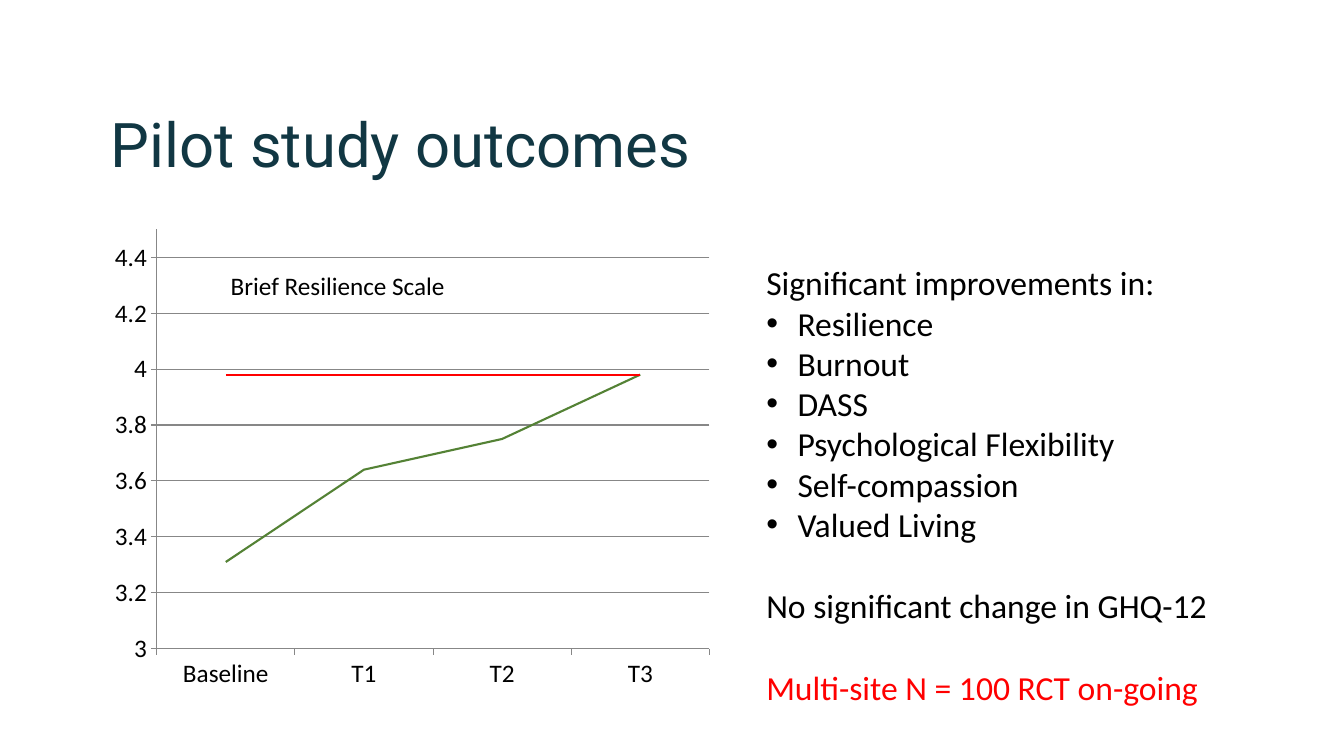
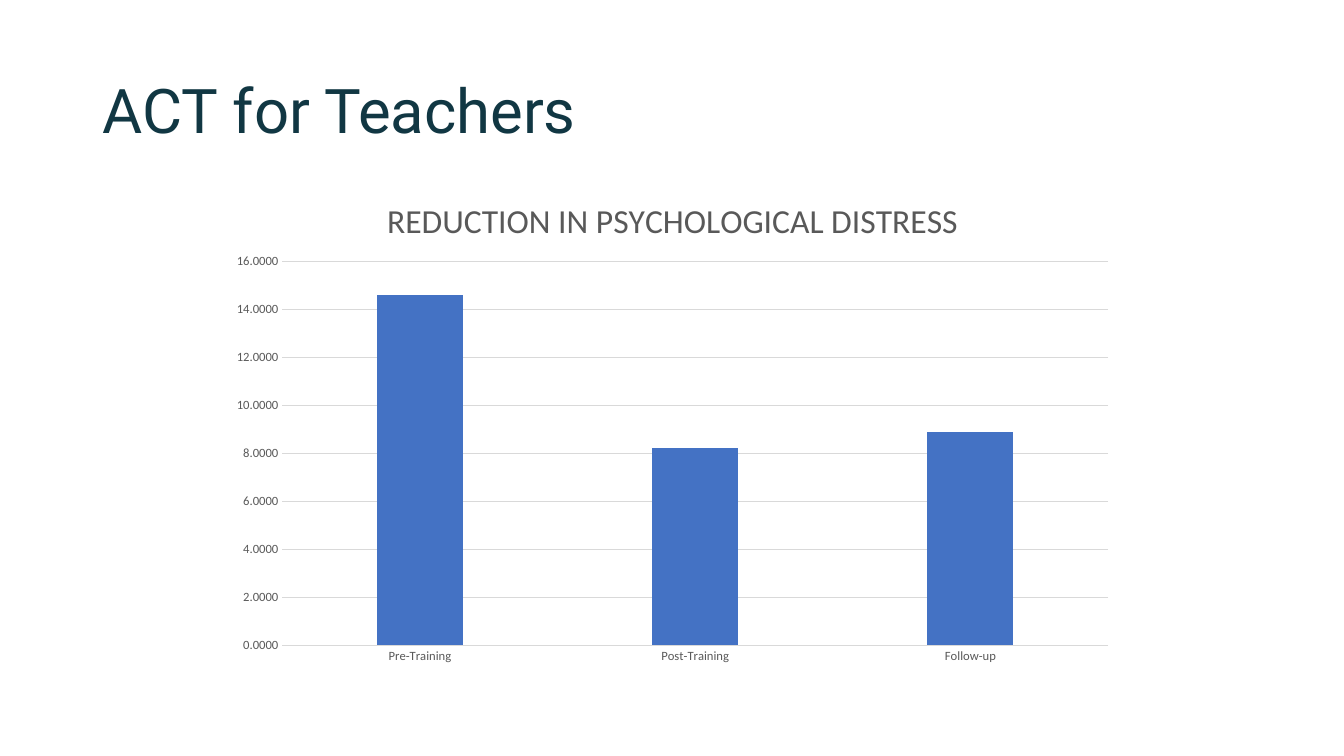
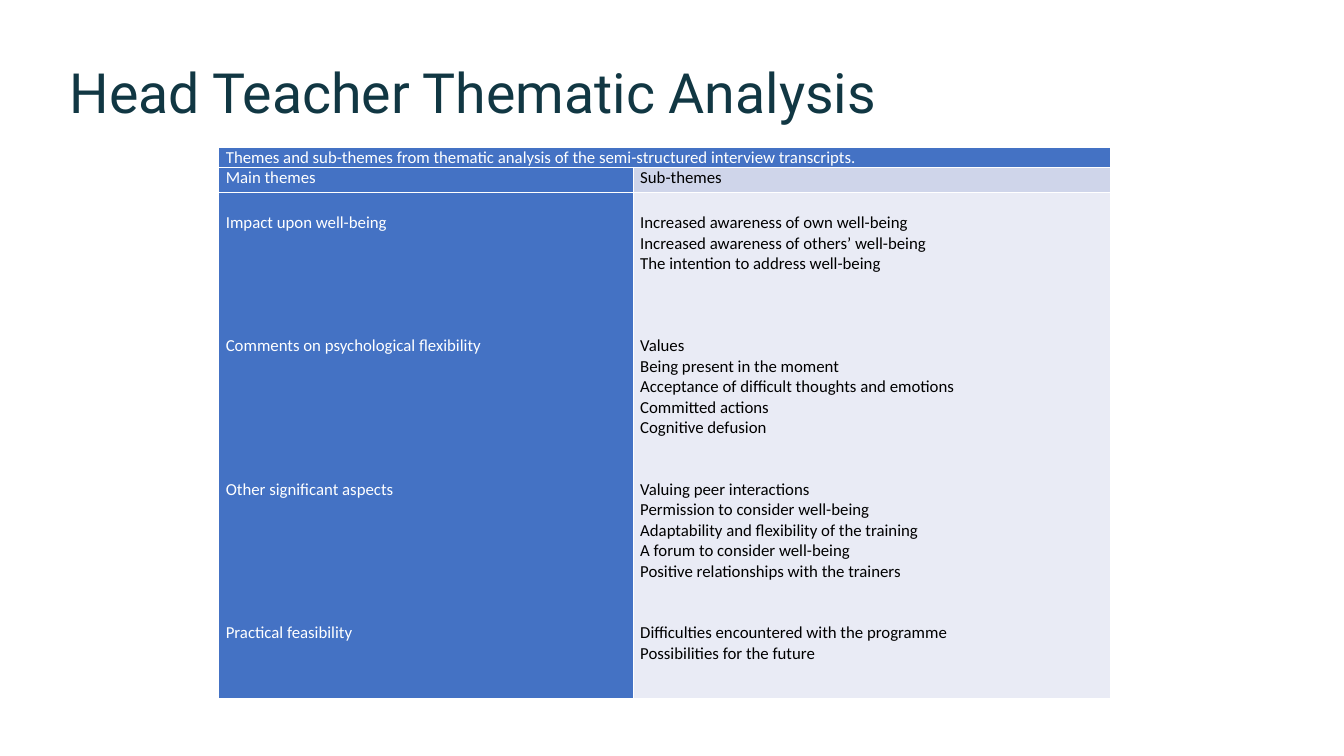
from lxml import etree
from pptx import Presentation
from pptx.chart.data import CategoryChartData
from pptx.dml.color import RGBColor
from pptx.enum.chart import XL_CHART_TYPE, XL_TICK_MARK
from pptx.enum.text import MSO_ANCHOR, MSO_AUTO_SIZE, PP_ALIGN
from pptx.oxml.ns import qn
from pptx.util import Inches, Pt

LINE_CHART = XL_CHART_TYPE.LINE
COLUMN_CHART = XL_CHART_TYPE.COLUMN_CLUSTERED
TICK_OUTSIDE = XL_TICK_MARK.OUTSIDE
TICK_NONE = XL_TICK_MARK.NONE
ANCHOR_TOP = MSO_ANCHOR.TOP
ANCHOR_MIDDLE = MSO_ANCHOR.MIDDLE
NO_AUTOFIT = MSO_AUTO_SIZE.NONE
ALIGN_LEFT = PP_ALIGN.LEFT

COLORS = {
    "title": "113743",
    "text": "000000",
    "white": "FFFFFF",
    "red": "FF0000",
    "green": "548235",
    "blue": "4472C4",
    "header": "CFD5EA",
    "pale": "E9EBF5",
    "axis": "878787",
    "grid": "D9D9D9",
    "muted": "595959",
}
TITLE_FONT = "Roboto"
BODY_FONT = "Calibri"
TITLE_ONLY = 5
TITLE_AND_CONTENT = 1
LINE_HEIGHT = 1.22
TABLE_SIZE = 12

OUTCOMES = ["Resilience", "Burnout", "DASS", "Psychological Flexibility",
            "Self-compassion", "Valued Living"]

THEMES = [
    ("Impact upon well-being", 3, [
        "Increased awareness of own well-being",
        "Increased awareness of others’ well-being",
        "The intention to address well-being"]),
    ("Comments on psychological flexibility", 2, [
        "Values",
        "Being present in the moment",
        "Acceptance of difficult thoughts and emotions",
        "Committed actions",
        "Cognitive defusion"]),
    ("Other significant aspects", 2, [
        "Valuing peer interactions",
        "Permission to consider well-being",
        "Adaptability and flexibility of the training",
        "A forum to consider well-being",
        "Positive relationships with the trainers"]),
    ("Practical feasibility", 0, [
        "Difficulties encountered with the programme",
        "Possibilities for the future"]),
]


def color(name):
    return RGBColor.from_string(COLORS[name])


def style_font(font, size, color_name, name=BODY_FONT):
    font.size = Pt(size)
    font.name = name
    font.bold = False
    font.color.rgb = color(color_name)


def style_line(line, color_name, width=0.75):
    line.color.rgb = color(color_name)
    line.width = Pt(width)


def place(shape, left, top, width, height):
    shape.left, shape.top = Inches(left), Inches(top)
    shape.width, shape.height = Inches(width), Inches(height)


def add_run(paragraph, text, size, color_name, font_name=BODY_FONT):
    run = paragraph.add_run()
    run.text = text
    style_font(run.font, size, color_name, font_name)


def next_paragraph(frame):
    first = frame.paragraphs[0]
    return frame.add_paragraph() if first.runs else first


def add_titled_slide(presentation, layout, title, box, size=44):
    slide = presentation.slides.add_slide(presentation.slide_layouts[layout])
    place(slide.shapes.title, *box)
    frame = slide.shapes.title.text_frame
    frame.word_wrap = True
    frame.auto_size = NO_AUTOFIT
    frame.vertical_anchor = ANCHOR_MIDDLE
    paragraph = frame.paragraphs[0]
    paragraph.alignment = ALIGN_LEFT
    paragraph.line_spacing = 0.9
    add_run(paragraph, title, size, "title", TITLE_FONT)
    return slide


def set_bullet(paragraph, bulleted):
    indent = Inches(0.31) if bulleted else 0
    properties = paragraph._p.get_or_add_pPr()
    properties.set("marL", str(indent))
    properties.set("indent", str(-indent))
    if bulleted:
        etree.SubElement(properties, qn("a:buFont"), typeface="Arial")
        etree.SubElement(properties, qn("a:buChar"), char="•")
    else:
        etree.SubElement(properties, qn("a:buNone"))


def add_body_line(frame, text, bulleted=False, gap=0, color_name="text"):
    paragraph = next_paragraph(frame)
    set_bullet(paragraph, bulleted)
    paragraph.space_before = Pt(gap)
    add_run(paragraph, text, 24, color_name)


def set_plot_area(chart, **fractions):
    plot_area = chart._chartSpace.chart.plotArea
    for old_layout in plot_area.findall(qn("c:layout")):
        plot_area.remove(old_layout)
    layout = etree.Element(qn("c:layout"))
    manual = etree.SubElement(layout, qn("c:manualLayout"))
    settings = {"layoutTarget": "inner", "xMode": "edge", "yMode": "edge", **fractions}
    for tag, value in settings.items():
        etree.SubElement(manual, qn("c:" + tag), val=str(value))
    plot_area.insert(0, layout)


def add_chart(slide, kind, box, categories, series_values):
    data = CategoryChartData()
    data.categories = categories
    for number, values in enumerate(series_values, 1):
        data.add_series(f"Series {number}", values)
    chart = slide.shapes.add_chart(kind, *map(Inches, box), data).chart
    chart.has_legend = False
    chart.has_title = False
    chart.plots[0].vary_by_categories = False
    return chart


def style_axes(chart, size, text_color, line_color, tick):
    for axis in (chart.category_axis, chart.value_axis):
        axis.major_tick_mark = tick
        axis.minor_tick_mark = TICK_NONE
        style_font(axis.tick_labels.font, size, text_color)
        style_line(axis.format.line, line_color)
    chart.value_axis.has_major_gridlines = True
    style_line(chart.value_axis.major_gridlines.format.line, line_color)


def set_number_format(axis, number_format):
    axis.tick_labels.number_format = number_format
    axis.tick_labels.number_format_is_linked = False


def add_resilience_chart(slide):
    target = 3.98
    chart = add_chart(slide, LINE_CHART, (1, 2.18, 6.16, 4.73),
                      ["Baseline", "T1", "T2", "T3"],
                      [(3.31, 3.64, 3.75, target), (target,) * 4])
    style_axes(chart, 18, "text", "axis", TICK_OUTSIDE)
    value_axis = chart.value_axis
    value_axis.minimum_scale, value_axis.maximum_scale = 3, 4.5
    value_axis.major_unit = 0.2
    set_number_format(value_axis, "General")
    for series, line_color in zip(chart.plots[0].series, ("green", "red")):
        series.smooth = False
        style_line(series.format.line, line_color, 1.5)
    set_plot_area(chart, x=0.09, y=0.02, w=0.89, h=0.88)


def add_distress_chart(slide):
    chart = add_chart(slide, COLUMN_CHART, (2.17, 1.75, 9, 4.95),
                      ["Pre-Training", "Post-Training", "Follow-up"],
                      [(14.6, 8.2, 8.9)])
    style_axes(chart, 9, "muted", "grid", TICK_NONE)
    chart.value_axis.format.line.fill.background()
    chart.value_axis.minimum_scale, chart.value_axis.maximum_scale = 0, 16
    chart.value_axis.major_unit = 2
    set_number_format(chart.value_axis, "###0.0000")
    plot = chart.plots[0]
    plot.gap_width, plot.overlap = 219, -27
    fill = plot.series[0].format.fill
    fill.solid()
    fill.fore_color.rgb = color("blue")
    chart.has_title = True
    chart.chart_title.include_in_layout = False
    add_run(chart.chart_title.text_frame.paragraphs[0],
            "REDUCTION IN PSYCHOLOGICAL DISTRESS", 24, "muted")
    set_plot_area(chart, x=0.07, y=0.17, w=0.91, h=0.77)


def style_cell(cell, fill_color):
    cell.margin_left = cell.margin_right = Inches(0.07)
    cell.margin_top = cell.margin_bottom = 0
    cell.vertical_anchor = ANCHOR_TOP
    properties = cell._tc.get_or_add_tcPr()
    for side in "LRTB":
        border = etree.SubElement(properties, qn("a:ln" + side), w=str(Pt(1)))
        fill = etree.SubElement(border, qn("a:solidFill"))
        etree.SubElement(fill, qn("a:srgbClr"), val=COLORS["white"])
    cell.fill.solid()
    cell.fill.fore_color.rgb = color(fill_color)


def add_cell_line(cell, text, color_name, blank_lines=0, after=0):
    paragraph = next_paragraph(cell.text_frame)
    paragraph.space_before = Pt(blank_lines * TABLE_SIZE * LINE_HEIGHT)
    paragraph.space_after = Pt(after)
    add_run(paragraph, text, TABLE_SIZE, color_name)


def fill_themes(theme_cell, detail_cell):
    theme_gap = detail_gap = 0
    for theme, gap, details in THEMES:
        add_cell_line(theme_cell, theme, "white", theme_gap)
        for position, detail in enumerate(details):
            add_cell_line(detail_cell, detail, "text", 0 if position else detail_gap)
        detail_gap = gap
        theme_gap = len(details) - 1 + gap


def add_theme_table(slide):
    widths, heights = (4.11, 4.74), (0.2, 0.25, 5.02)
    frame = slide.shapes.add_table(
        len(heights), len(widths), Inches(2.17), Inches(1.46),
        Inches(sum(widths)), Inches(sum(heights)))
    table = frame.table
    table.first_row = table.horz_banding = False
    for column, width in zip(table.columns, widths):
        column.width = Inches(width)
    for row, height, right_fill in zip(table.rows, heights, ("blue", "header", "pale")):
        row.height = Inches(height)
        for cell, fill_color in zip(row.cells, ("blue", right_fill)):
            style_cell(cell, fill_color)
    table.cell(0, 0).merge(table.cell(0, 1))
    add_cell_line(table.cell(0, 0),
                  "Themes and sub-themes from thematic analysis of the "
                  "semi-structured interview transcripts.", "white")
    add_cell_line(table.cell(1, 0), "Main themes", "white", after=3)
    add_cell_line(table.cell(1, 1), "Sub-themes", "text", after=3)
    theme_cell, detail_cell = table.cell(2, 0), table.cell(2, 1)
    theme_cell.margin_top = detail_cell.margin_top = Inches(0.2)
    fill_themes(theme_cell, detail_cell)


def add_chart_label(slide, text, box):
    frame = slide.shapes.add_textbox(*map(Inches, box)).text_frame
    frame.word_wrap = False
    add_run(frame.paragraphs[0], text, 18, "text")


def add_outcome_list(slide):
    body = slide.placeholders[1]
    place(body, 7.5, 2.55, 4.92, 4.54)
    frame = body.text_frame
    frame.word_wrap = True
    frame.auto_size = NO_AUTOFIT
    gap = 24 * LINE_HEIGHT
    add_body_line(frame, "Significant improvements in:")
    for outcome in OUTCOMES:
        add_body_line(frame, outcome, bulleted=True)
    add_body_line(frame, "No significant change in GHQ-12", gap=gap)
    add_body_line(frame, "Multi-site N = 100 RCT on-going", gap=gap, color_name="red")


def main():
    presentation = Presentation()
    presentation.slide_width = Inches(13.33)
    presentation.slide_height = Inches(7.5)

    pilot = add_titled_slide(presentation, TITLE_AND_CONTENT,
                             "Pilot study outcomes", (1, 0.91, 8.45, 1.1))
    add_resilience_chart(pilot)
    add_outcome_list(pilot)
    add_chart_label(pilot, "Brief Resilience Scale", (2.19, 2.63, 2.35, 0.4))

    teachers = add_titled_slide(presentation, TITLE_ONLY,
                                "ACT for Teachers", (0.92, 0.4, 11.5, 1.45))
    add_distress_chart(teachers)

    analysis = add_titled_slide(presentation, TITLE_ONLY, "Head Teacher Thematic Analysis",
                                (0.59, 0.52, 9, 0.85), 39.6)
    add_theme_table(analysis)

    presentation.save("out.pptx")


if __name__ == "__main__":
    main()
